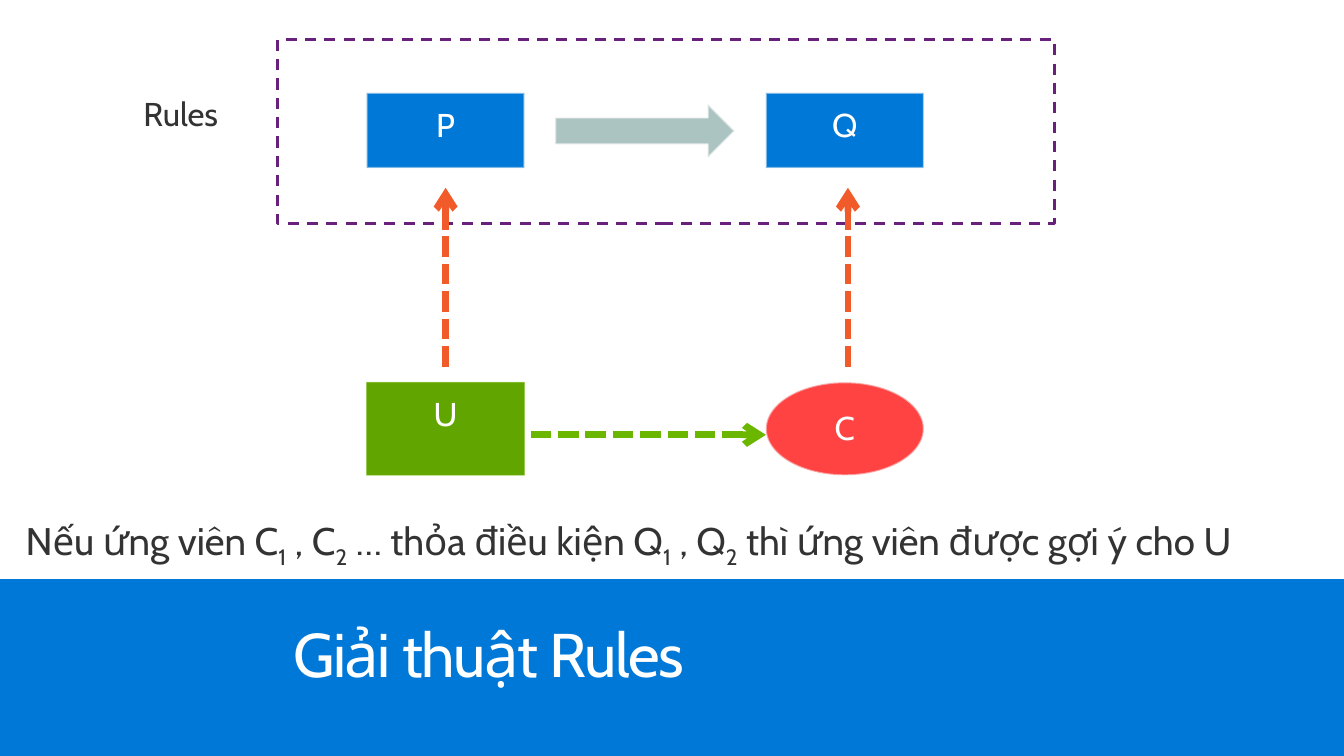
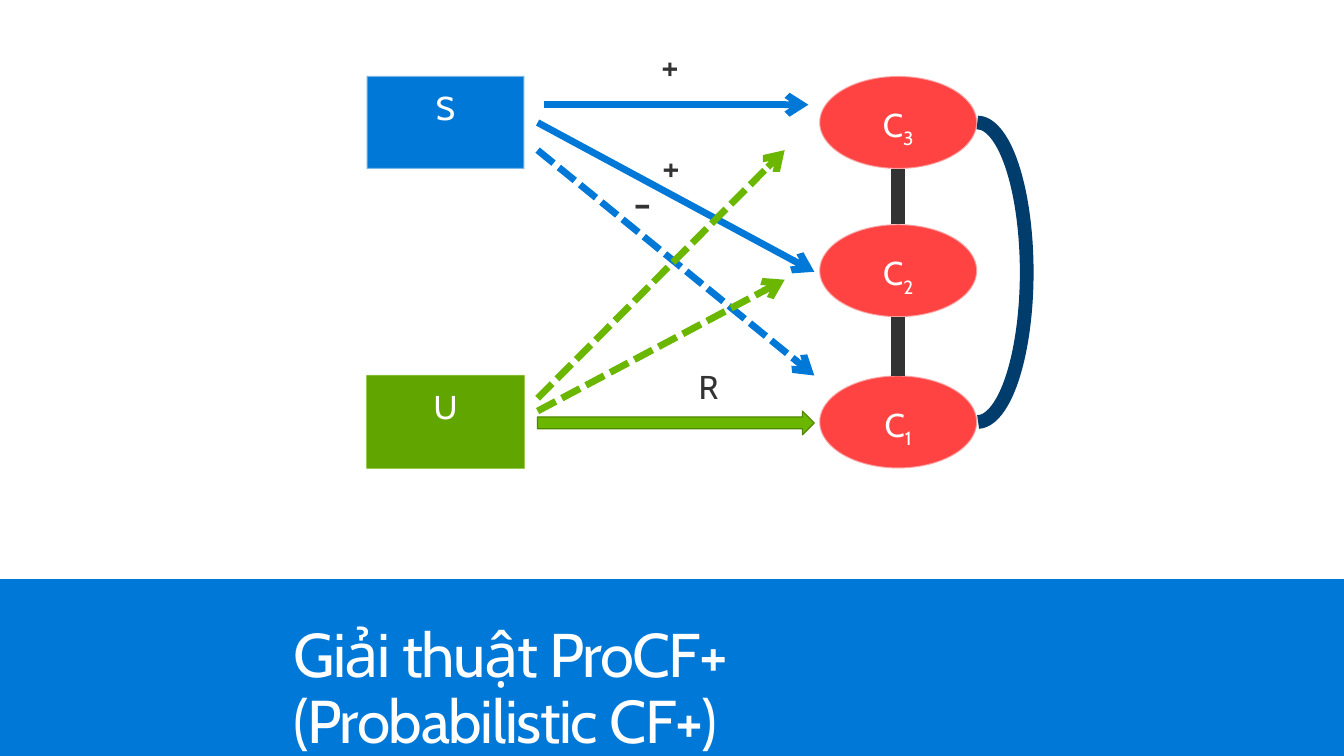
from dataclasses import dataclass

from lxml import etree
from pptx import Presentation
from pptx.dml.color import RGBColor
from pptx.enum import dml, shapes, text
from pptx.oxml import ns
from pptx.util import Pt

SHAPE = shapes.MSO_SHAPE
DASH = dml.MSO_LINE.DASH
SHORT_DASH = dml.MSO_LINE.SQUARE_DOT


@dataclass(frozen=True)
class Theme:
    font: str = "Cabin"
    white: str = "FFFFFF"
    ink: str = "333333"
    blue: str = "0078D7"
    navy: str = "003C6C"
    green: str = "6BB700"
    user_green: str = "61A600"
    dark_green: str = "4F8700"
    red: str = "FF4343"
    orange: str = "F15A29"
    purple: str = "68217A"
    grey_green: str = "ABC4C1"
    edge: str = "F9F9F9"
    title: float = 44.9
    title_next: float = 44
    node: float = 24
    statement: float = 28
    minus: float = 32
    flow: float = 5
    link: float = 10


WIDTH, HEIGHT = 979.2, 550.8
BAND_TOP = 422
NODE_W, NODE_H = 115, 67.7
LEFT_X = 267.1


class Deck:
    def __init__(self, theme):
        self.theme = theme
        self.prs = Presentation()
        self.prs.slide_width, self.prs.slide_height = Pt(WIDTH), Pt(HEIGHT)
        self.slide = None

    def new_slide(self, *title_lines):
        t = self.theme
        self.slide = self.prs.slides.add_slide(self.prs.slide_layouts[6])
        self.shape(SHAPE.RECTANGLE, (0, BAND_TOP, WIDTH, HEIGHT - BAND_TOP), t.blue)
        frame = self.text_frame((202.3, 447.8, 648, 73.4), (11.5, 7.2))
        paragraph = self.paragraph(frame)
        for i, line in enumerate(title_lines):
            if i:
                paragraph.add_line_break()
            run = self.run(paragraph, line, t.title_next if i else t.title, t.white)
            run.font._element.set("spc", "-100")

    def stroke(self, line, color, weight, dash=None, alpha=None):
        line.color.rgb = RGBColor.from_string(color)
        line.width = Pt(weight)
        if dash is not None:
            line.dash_style = dash
        if alpha:
            rgb = next(line._ln.iter(ns.qn("a:srgbClr")))
            etree.SubElement(rgb, ns.qn("a:alpha"), val=str(alpha * 1000))

    def shape(self, kind, box, fill=None):
        """Add a preset shape without shadow or outline."""
        item = self.slide.shapes.add_shape(kind, *map(Pt, box))
        item.shadow.inherit = False
        if fill:
            item.fill.solid()
            item.fill.fore_color.rgb = RGBColor.from_string(fill)
        else:
            item.fill.background()
        item.line.fill.background()
        return item

    def edged(self, kind, box, fill):
        """Add a shape with the half-transparent pale outline."""
        item = self.shape(kind, box, fill)
        self.stroke(item.line, self.theme.edge, 1.35, alpha=50)
        return item

    def set_frame(self, frame, insets, wrap=True):
        frame.margin_left = frame.margin_right = Pt(insets[0])
        frame.margin_top = frame.margin_bottom = Pt(insets[1])
        frame.vertical_anchor = text.MSO_ANCHOR.TOP
        frame.word_wrap = wrap
        return frame

    def text_frame(self, box, insets=(14.4, 11.5), wrap=True):
        item = self.slide.shapes.add_textbox(*map(Pt, box))
        return self.set_frame(item.text_frame, insets, wrap)

    def paragraph(self, frame, align=text.PP_ALIGN.LEFT):
        paragraph = frame.paragraphs[0]
        paragraph.alignment = align
        paragraph.line_spacing = 0.9
        return paragraph

    def run(self, paragraph, words, size, color):
        run = paragraph.add_run()
        run.text = words
        run.font.name, run.font.size = self.theme.font, Pt(size)
        run.font.color.rgb = RGBColor.from_string(color)
        return run

    def pieces(self, paragraph, words, size, color):
        """Add runs; every second piece is a subscript."""
        for i, piece in enumerate(words):
            run = self.run(paragraph, piece, size, color)
            if i % 2:
                run.font._element.set("baseline", "-25000")

    def node(self, words, x, y, fill, kind=SHAPE.RECTANGLE, height=NODE_H):
        item = self.edged(kind, (x, y, NODE_W, height), fill)
        frame = self.set_frame(item.text_frame, (14.4, 11.5))
        self.pieces(self.paragraph(frame, text.PP_ALIGN.CENTER), words,
                    self.theme.node, self.theme.white)
        return item

    def user(self, y):
        item = self.node(["U"], LEFT_X, y, self.theme.user_green)
        self.stroke(item.line, self.theme.green, 0.75)

    def candidate(self, words, x, y):
        self.node(words, x, y, self.theme.red, SHAPE.OVAL)

    def label(self, words, box, size, wrap=False):
        frame = self.text_frame(box, wrap=wrap)
        frame.auto_size = text.MSO_AUTO_SIZE.SHAPE_TO_FIT_TEXT
        paragraph = self.paragraph(frame)
        paragraph.space_after = Pt(6)
        self.pieces(paragraph, words, size, self.theme.ink)

    def line(self, start, end, color, weight, dash=None):
        item = self.slide.shapes.add_connector(
            shapes.MSO_CONNECTOR.STRAIGHT, *map(Pt, start + end))
        self.stroke(item.line, color, weight, dash)
        etree.SubElement(item._element.spPr, ns.qn("a:effectLst"))
        return item

    def arrow(self, start, end, color, dash=None):
        item = self.line(start, end, color, self.theme.flow, dash)
        etree.SubElement(item.line._ln, ns.qn("a:tailEnd"), type="arrow")


def rules_slide(deck):
    t = deck.theme
    deck.new_slide("Giải thuật Rules")
    right_x = 558
    deck.user(278.6)
    deck.candidate(["C"], right_x, 278.6)

    rule_frame = deck.shape(SHAPE.RECTANGLE, (202.3, 28.8, 565.9, 133.9), t.white)
    deck.stroke(rule_frame.line, t.purple, 2, DASH)
    for name, x in (("P", LEFT_X), ("Q", right_x)):
        deck.node([name], x, 67.7, t.blue, height=54.7)
    deck.edged(SHAPE.RIGHT_ARROW, (404.6, 76.3, 130.3, 38.2), t.grey_green)
    deck.label(["Rules"], (90, 59.8, 106.6, 49.7), t.node, wrap=True)

    for x in (324.7, 617.8):
        deck.arrow((x, 267.1), (x, 136.8), t.orange, SHORT_DASH)
    deck.label(["Nếu ứng viên C", "1", " , C", "2", " … thỏa điều kiện Q", "1",
                " , Q", "2", " thì ứng viên được gợi ý cho U"],
               (4.3, 365.8, 972, 54), t.statement)
    deck.arrow((386.6, 316.8), (right_x, 316.8), t.green, SHORT_DASH)


def procf_slide(deck):
    t = deck.theme
    deck.new_slide("Giải thuật ProCF+", "(Probabilistic CF+)")
    candidate_x = 596.9
    rows = {"3": 55.4, "2": 163.4, "1": 273.6}
    deck.user(rows["1"])
    deck.node(["S"], LEFT_X, rows["3"], t.blue)
    for index, y in rows.items():
        deck.candidate(["C", index], candidate_x, y)

    middle = candidate_x + NODE_W / 2
    tops = list(rows.values())
    for upper, lower in zip(tops, tops[1:]):
        deck.line((middle, upper + NODE_H), (middle, lower), t.ink, t.link)
    outer_link = deck.shape(SHAPE.ARC, (676.1, 89.3, 72, 218.2))
    outer_link.adjustments[0] = 162
    outer_link.adjustments[1] = 53.81
    deck.stroke(outer_link.line, t.navy, t.link)

    rating = deck.shape(SHAPE.RIGHT_ARROW, (391.7, 299.5, 201.6, 17.3), t.green)
    deck.stroke(rating.line, t.dark_green, 0.85)
    for start, end, color, dash in (
        ((396, 76.3), (589, 76.3), t.blue, None),
        ((391.7, 89.3), (593.3, 198), t.blue, None),
        ((391.7, 109.4), (593.3, 273.6), t.blue, SHORT_DASH),
        ((391.7, 290.2), (571.7, 109.4), t.green, SHORT_DASH),
        ((391.7, 299.5), (571.7, 203.8), t.green, SHORT_DASH),
    ):
        deck.arrow(start, end, color, dash)

    for sign, box, size in (
        ("-", (447.1, 121, 41.8, 58.3), t.minus),
        ("+", (468, 96.5, 48.2, 54), t.statement),
        ("+", (467.3, 23, 48.2, 54), t.statement),
        ("R", (494.6, 258.5, 43.9, 49.7), t.node),
    ):
        deck.label([sign], box, size)


def main():
    deck = Deck(Theme())
    rules_slide(deck)
    procf_slide(deck)
    deck.prs.save("out.pptx")


if __name__ == "__main__":
    main()
